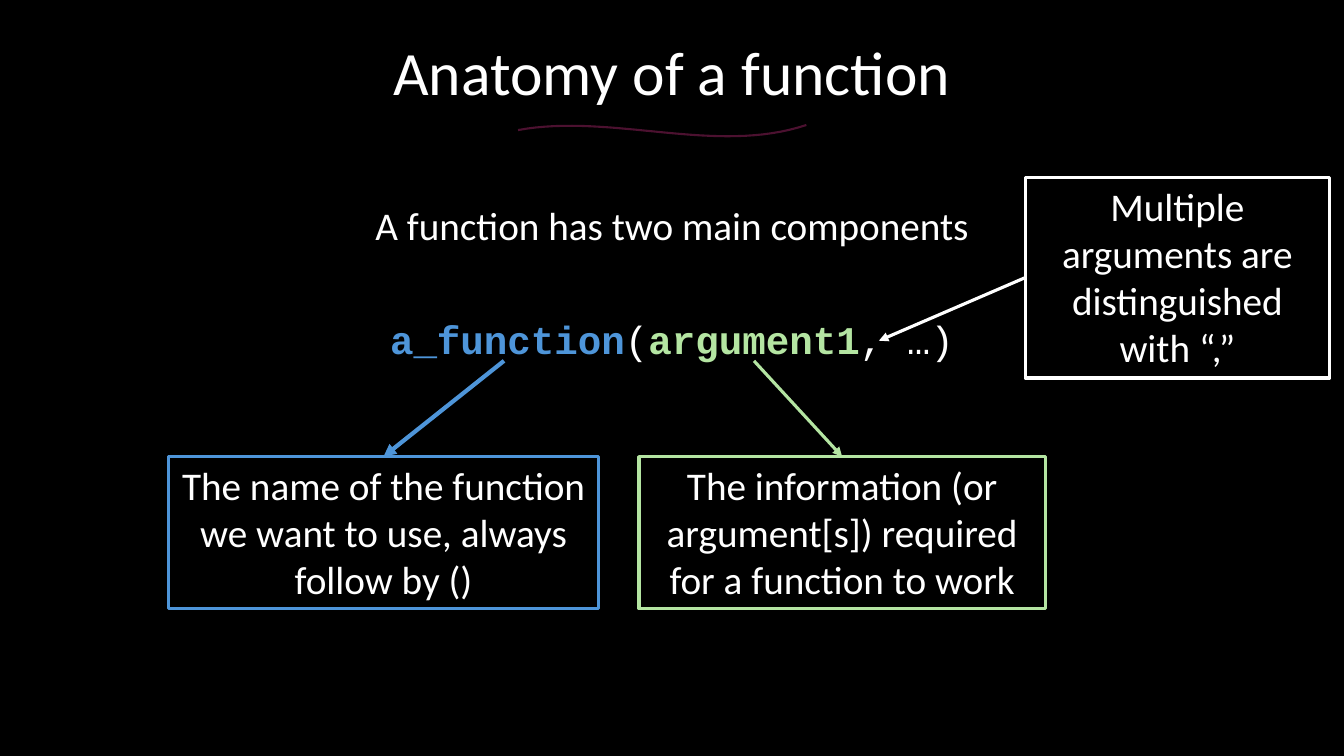
from dataclasses import dataclass

import lxml.etree
import pptx
import pptx.dml.color
import pptx.enum.shapes
import pptx.enum.text
import pptx.oxml.ns
import pptx.util

Pt = pptx.util.Pt
qn = pptx.oxml.ns.qn
HUES = {"back": "000000", "white": "FFFFFF", "blue": "4E95D9",
        "green": "B4E5A2", "plum": "4C1130"}
TOP, LEFT = 0, 1


@dataclass
class Note:
    """A framed remark and the arrow between it and the code."""
    text: str
    hue: str
    x: float
    y: float
    w: float
    h: float
    spot: tuple[float, float]  # arrow end at the code
    side: int = TOP
    thick: float = 2.25
    inward: bool = False  # arrow points at the code


NOTES = [
    Note("The name of the function we want to use, always follow by ()",
         "blue", 120.24, 326.16, 307.44, 108.72, (360, 257.76), thick=3),
    Note("The information (or argument[s]) required for a function to work",
         "green", 456.48, 326.16, 290.16, 108.72, (538.56, 257.76)),
    Note("Multiple arguments are distinguished with “,”",
         "white", 732.24, 126.72, 217.44, 143.28, (627.84, 243.36),
         side=LEFT, inward=True),
]
CODE = [("a_function", "blue", True), ("(", "white", False),
        ("argument1", "green", True), (", …)", "white", False)]
WAVE = [(370.08, 92.88), (437.76, 80.64), (511.2, 110.88), (576, 89.28)]


def color(hue: str) -> pptx.dml.color.RGBColor:
    return pptx.dml.color.RGBColor.from_string(HUES[hue])


def write(para, text: str, *, size: float = 28, hue: str = "white",
          face: str = "Calibri", bold: bool = False) -> None:
    """Add one centred run to a paragraph."""
    para.alignment = pptx.enum.text.PP_ALIGN.CENTER
    run = para.add_run()
    run.text = text
    font = run.font
    font.size, font.name, font.bold = Pt(size), face, bold
    font.color.rgb = color(hue)


def stroke(shape, hue: str, thick: float) -> None:
    shape.line.color.rgb = color(hue)
    shape.line.width = Pt(thick)


def draw_note(slide, note: Note) -> None:
    # Frame
    box = slide.shapes.add_shape(
        pptx.enum.shapes.MSO_SHAPE.RECTANGLE,
        Pt(note.x), Pt(note.y), Pt(note.w), Pt(note.h))
    box.shadow.inherit = False
    box.fill.background()
    stroke(box, note.hue, 2.25)
    frame = box.text_frame
    frame.word_wrap = True
    frame.auto_size = pptx.enum.text.MSO_AUTO_SIZE.SHAPE_TO_FIT_TEXT
    frame.vertical_anchor = pptx.enum.text.MSO_ANCHOR.TOP
    write(frame.paragraphs[0], note.text)

    # Arrow
    x, y = map(Pt, note.spot)
    arrow = slide.shapes.add_connector(
        pptx.enum.shapes.MSO_CONNECTOR.STRAIGHT, x, y, x, y)
    join = arrow.begin_connect if note.inward else arrow.end_connect
    join(box, note.side)
    stroke(arrow, note.hue, note.thick)
    lxml.etree.SubElement(arrow.line._get_or_add_ln(), qn("a:tailEnd"),
                          type="triangle")
    lxml.etree.SubElement(arrow._element.spPr, qn("a:effectLst"))


def draw_wave(slide, knots: list[tuple[float, float]], steps: int = 32) -> None:
    """Trace a cubic curve in hundredths of a point."""
    dots = []
    for step in range(steps + 1):
        t = step / steps
        u = 1 - t
        parts = (u ** 3, 3 * u * u * t, 3 * u * t * t, t ** 3)
        dots.append(tuple(100 * sum(p * k[axis] for p, k in zip(parts, knots))
                          for axis in (0, 1)))
    path = slide.shapes.build_freeform(*dots[0], scale=Pt(1) / 100)
    path.add_line_segments(dots[1:], close=False)
    wave = path.convert_to_shape()
    wave.shadow.inherit = False
    wave.fill.background()
    stroke(wave, "plum", 1.5)


def main() -> None:
    deck = pptx.Presentation()
    deck.slide_width, deck.slide_height = Pt(960), Pt(540)
    slide = deck.slides.add_slide(deck.slide_layouts.get_by_name("Title Only"))
    slide.background.fill.solid()
    slide.background.fill.fore_color.rgb = color("back")

    # Title
    title = slide.shapes.title
    title.left, title.top, title.width, title.height = map(
        Pt, (0, 1.44, 960, 104.4))
    title.text_frame.vertical_anchor = pptx.enum.text.MSO_ANCHOR.MIDDLE
    head = title.text_frame.paragraphs[0]
    head.line_spacing = 0.9
    write(head, "Anatomy of a function", size=44)

    # Lead line and code
    body = slide.shapes.add_textbox(Pt(66), Pt(144), Pt(828), Pt(126))
    frame = body.text_frame
    frame.word_wrap = True
    lead, code = frame.paragraphs[0], frame.add_paragraph()
    lead.line_spacing = code.line_spacing = 0.9
    write(lead, "A function has two main components")
    code.space_before = Pt(51)
    for text, hue, bold in CODE:
        write(code, text, hue=hue, face="Courier New", bold=bold)

    # Remarks and title flourish
    for note in NOTES:
        draw_note(slide, note)
    draw_wave(slide, WAVE)
    deck.save("out.pptx")


if __name__ == "__main__":
    main()
